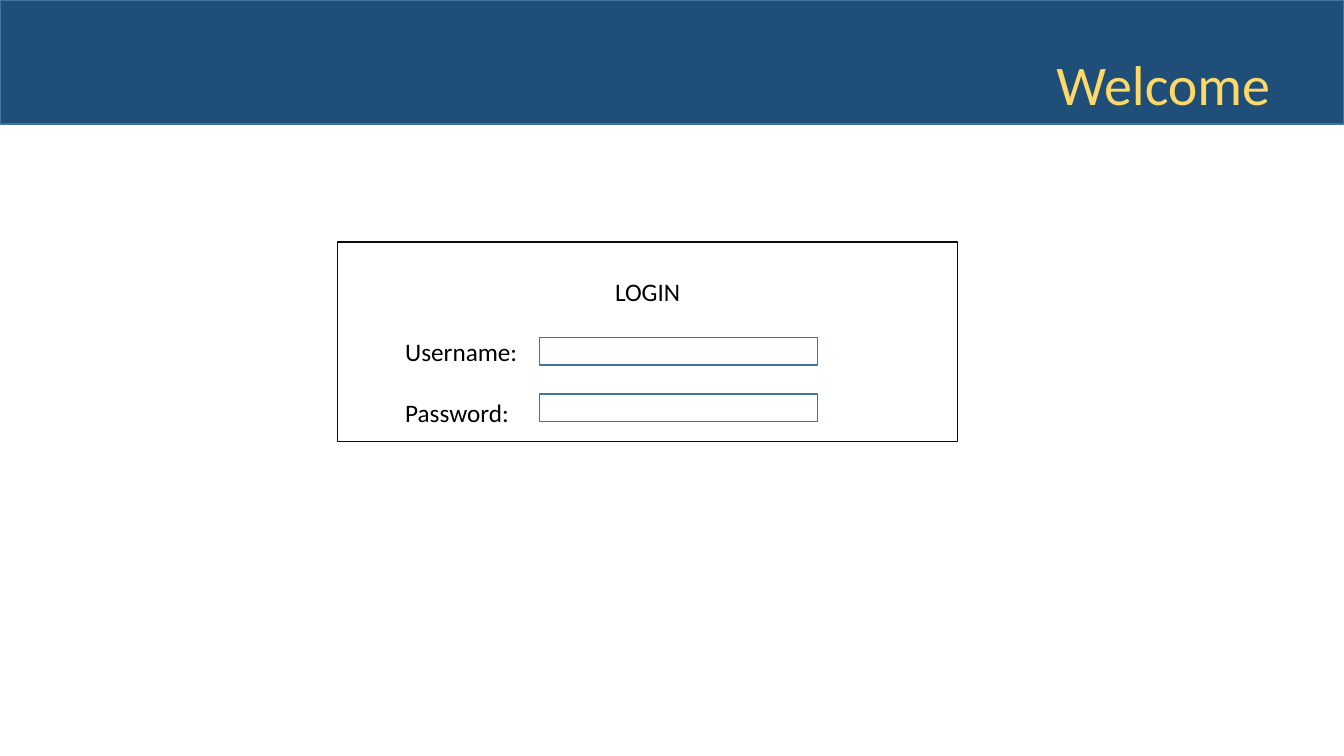
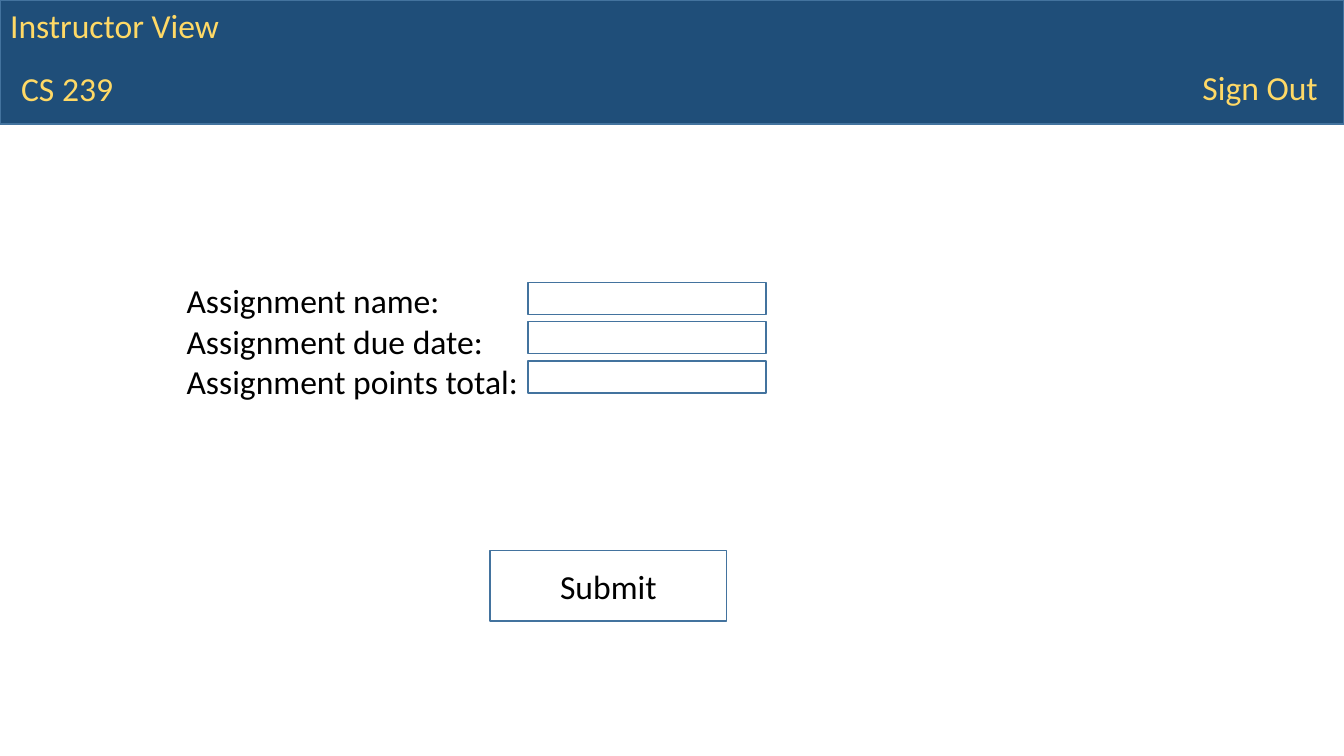
import dataclasses

import pptx
import pptx.dml.color
import pptx.enum.shapes
import pptx.enum.text
import pptx.util

Pt = pptx.util.Pt
Align = pptx.enum.text.PP_ALIGN


@dataclasses.dataclass(frozen=True)
class Theme:
    font: str = "Calibri"
    band: str = "1F4E79"
    outline: str = "43739E"
    frame: str = "0D0D0D"
    heading: str = "FFD966"
    text: str = "000000"
    title_size: int = 40
    large: int = 24
    small: int = 18


theme = Theme()
presentation = pptx.Presentation()
presentation.slide_width = pptx.util.Inches(13.33)
presentation.slide_height = pptx.util.Inches(7.5)
title_and_content = presentation.slide_layouts[1]


def add_rectangle(slide, area, line, fill=None):
    """Draw an outlined rectangle; area is left, top, width, height in percent of the slide."""
    shape = slide.shapes.add_shape(pptx.enum.shapes.MSO_SHAPE.RECTANGLE, 0, 0, 0, 0)
    place(shape, area)
    shape.shadow.inherit = False
    shape.line.color.rgb = pptx.dml.color.RGBColor.from_string(line)
    shape.line.width = Pt(1)
    if fill:
        shape.fill.solid()
        shape.fill.fore_color.rgb = pptx.dml.color.RGBColor.from_string(fill)
    else:
        shape.fill.background()
    return shape


def place(shape, area, lines=(), size=theme.large, color=theme.text,
          align=Align.LEFT, anchor=pptx.enum.text.MSO_ANCHOR.TOP, gap=0):
    """Position a shape by percent of the slide and write its lines, gap points apart."""
    left, top, width, height = area
    shape.left = round(presentation.slide_width * left / 100)
    shape.top = round(presentation.slide_height * top / 100)
    shape.width = round(presentation.slide_width * width / 100)
    shape.height = round(presentation.slide_height * height / 100)
    if not lines:
        return
    frame = shape.text_frame
    frame.text = "\n".join(lines)
    frame.word_wrap = True
    frame.auto_size = pptx.enum.text.MSO_AUTO_SIZE.NONE
    frame.vertical_anchor = anchor
    for index, paragraph in enumerate(frame.paragraphs):
        paragraph.alignment = align
        paragraph.line_spacing = 1.0
        paragraph.space_before = Pt(gap if index else 0)
        properties = paragraph._p.get_or_add_pPr()
        properties.set("marL", "0")
        properties.set("indent", "0")
        properties.append(properties.makeelement(pptx.oxml.ns.qn("a:buNone"), {}))
        for run in paragraph.runs:
            run.font.name = theme.font
            run.font.size = Pt(size)
            run.font.color.rgb = pptx.dml.color.RGBColor.from_string(color)


# Both slides: a band behind the title, and a body that holds the form labels
slides = []
for title, title_area, title_size in (
    ("Welcome", (77.85, 5.87, 22.15, 10.27), theme.title_size),
    ("Instructor View", (0, 0, 17.25, 6.67), theme.large),
):
    slide = presentation.slides.add_slide(title_and_content)
    band = add_rectangle(slide, (0, 0, 100, 16.4), theme.outline, theme.band)
    slide.shapes._spTree.insert(2, band._element)
    place(slide.shapes.title, title_area, [title], title_size, theme.heading)
    slides.append(slide)
welcome, instructor = slides

# Login form
add_rectangle(welcome, (25.13, 32, 46.13, 26.4), theme.frame)
login = welcome.placeholders[1]
place(login, (29.4, 35.87, 37.58, 21.6), ["LOGIN", "Username:", "Password:"],
      theme.small, gap=21.5)
login.text_frame.paragraphs[0].alignment = Align.CENTER

# Assignment form
for label, area in (("Sign Out", (88.73, 8.13, 11.27, 6.67)),
                    ("CS 239", (0.83, 8.27, 12.3, 6.67))):
    place(instructor.shapes.add_textbox(0, 0, 0, 0), area, [label], color=theme.heading)
assignment = instructor.placeholders[1]
place(assignment, (13.13, 36.4, 26.18, 17.47),
      ["Assignment name:", "Assignment due date:", "Assignment points total:"])
assignment.text_frame.word_wrap = False

# Input fields, evenly stepped down each form
for slide, count, step, (left, top, width, height) in (
    (welcome, 2, 7.47, (40.13, 44.67, 20.7, 3.6)),
    (instructor, 3, 5.2, (39.3, 37.33, 17.7, 4.27)),
):
    for row in range(count):
        add_rectangle(slide, (left, top + row * step, width, height), theme.outline)

submit_area = (36.45, 72.8, 17.63, 9.33)
submit = add_rectangle(instructor, submit_area, theme.outline)
place(submit, submit_area, ["Submit"], align=Align.CENTER,
      anchor=pptx.enum.text.MSO_ANCHOR.MIDDLE)

presentation.save("out.pptx")
